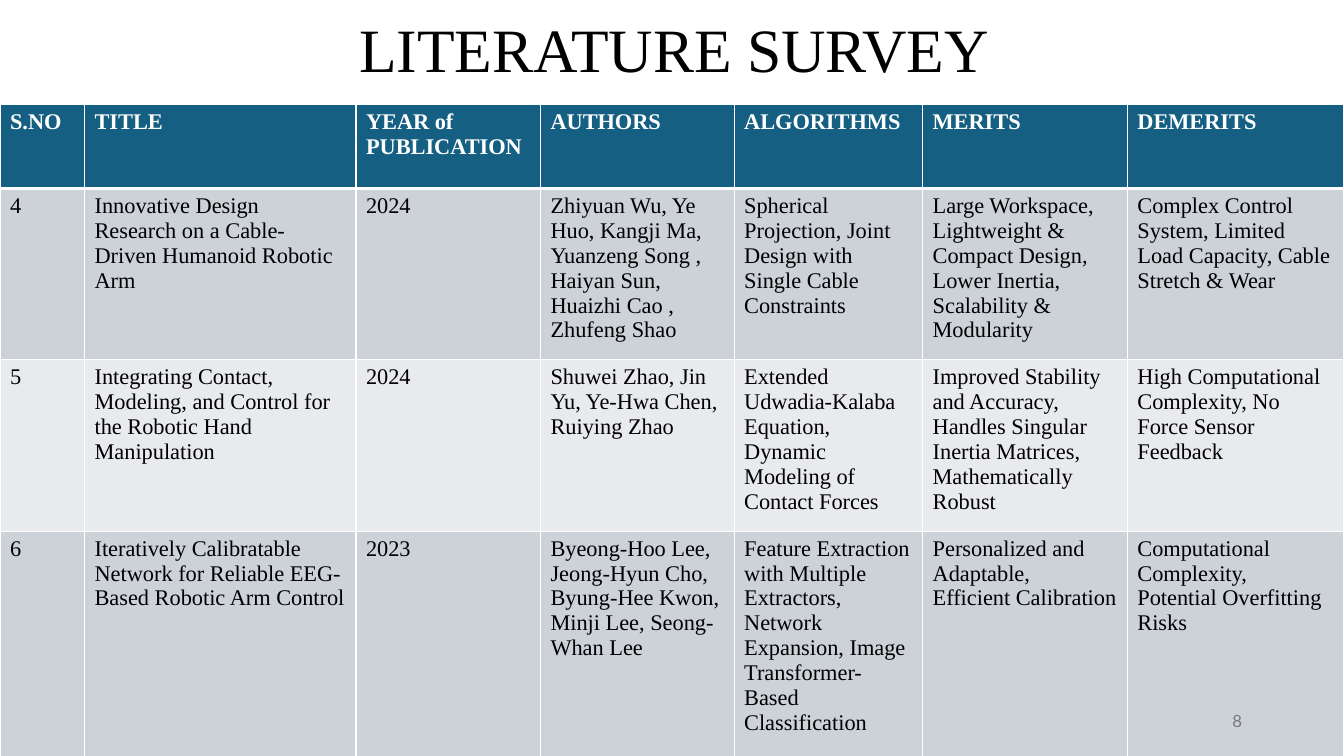
from lxml import etree
from pptx import Presentation
from pptx.dml.color import RGBColor
from pptx.enum.text import MSO_ANCHOR, PP_ALIGN
from pptx.oxml.ns import qn
from pptx.util import Cm, Pt

MIDDLE = MSO_ANCHOR.MIDDLE
CENTER, RIGHT = PP_ALIGN.CENTER, PP_ALIGN.RIGHT

# Content
TITLE = "LITERATURE SURVEY"
PAGE_NUMBER = "8"
HEADERS = ["S.NO", "TITLE", "YEAR of PUBLICATION", "AUTHORS", "ALGORITHMS", "MERITS", "DEMERITS"]
PAPERS = [
    ["4", "Innovative Design Research on a Cable-Driven Humanoid Robotic Arm", "2024",
     "Zhiyuan Wu, Ye Huo, Kangji Ma, Yuanzeng Song , Haiyan Sun, Huaizhi Cao , Zhufeng Shao",
     "Spherical Projection, Joint Design with Single Cable Constraints",
     "Large Workspace, Lightweight & Compact Design,\nLower Inertia, Scalability & Modularity",
     "Complex Control System, Limited Load Capacity, Cable Stretch & Wear"],
    ["5", "Integrating Contact, Modeling, and Control for the Robotic Hand Manipulation", "2024",
     "Shuwei Zhao, Jin Yu, Ye-Hwa Chen, Ruiying Zhao",
     "Extended Udwadia-Kalaba Equation, Dynamic Modeling of Contact Forces",
     "Improved Stability and Accuracy, Handles Singular Inertia Matrices, Mathematically Robust",
     "High Computational Complexity, No Force Sensor Feedback"],
    ["6", "Iteratively Calibratable Network for Reliable EEG-Based Robotic Arm Control", "2023",
     "Byeong-Hoo Lee, Jeong-Hyun Cho, Byung-Hee Kwon, Minji Lee, Seong-Whan Lee",
     "Feature Extraction with Multiple Extractors, Network Expansion, "
     "Image Transformer-Based Classification",
     "Personalized and Adaptable,\nEfficient Calibration",
     "Computational Complexity,\nPotential Overfitting Risks"],
]

# Theme and layout, lengths in cm
THEME = {
    "title": {"name": "Times New Roman", "size": Pt(44), "color": "000000"},
    "header": {"name": "Times New Roman", "size": Pt(16), "bold": True, "color": "FFFFFF"},
    "body": {"name": "Times New Roman", "size": Pt(16), "bold": False, "color": "000000"},
    "page": {"name": "Lato", "size": Pt(12), "color": "797979"},
    "header_fill": "156082",
    "band_fills": ["CCD2D8", "E8EAED"],
    "border": "FFFFFF",
    "thin": 1,
    "thick": 3,
}
SLIDE_W, SLIDE_H = 33.87, 19.05
TABLE_TOP = 2.64
COL_WIDTHS = [2.13, 6.84, 4.65, 4.88, 4.75, 5.16, 5.46]
ROW_HEIGHTS = [2.11, 4.27, 3.94, 5.23]


def format_text(tf, style):
    for p in tf.paragraphs:
        for r in p.runs:
            for key, value in style.items():
                if key == "color":
                    r.font.color.rgb = RGBColor.from_string(value)
                else:
                    setattr(r.font, key, value)


def add_text(s, box, text, style, align, spacing=1.0):
    tf = s.shapes.add_textbox(*(Cm(v) for v in box)).text_frame
    tf.word_wrap, tf.vertical_anchor, tf.text = True, MIDDLE, text
    p = tf.paragraphs[0]
    p.alignment, p.line_spacing = align, spacing
    format_text(tf, style)


def set_borders(cell, widths):
    tc_pr = cell._tc.get_or_add_tcPr()
    for side, width in widths.items():
        ln = etree.SubElement(tc_pr, qn(f"a:ln{side}"), w=str(Pt(width)))
        fill = etree.SubElement(ln, qn("a:solidFill"))
        etree.SubElement(fill, qn("a:srgbClr"), val=THEME["border"])


def add_survey(s):
    rows = [HEADERS] + PAPERS
    table = s.shapes.add_table(len(rows), len(HEADERS), 0, Cm(TABLE_TOP),
                               Cm(sum(COL_WIDTHS)), Cm(sum(ROW_HEIGHTS))).table
    for column, width in zip(table.columns, COL_WIDTHS):
        column.width = Cm(width)
    for i, (row, height, texts) in enumerate(zip(table.rows, ROW_HEIGHTS, rows)):
        row.height = Cm(height)
        fill = THEME["band_fills"][(i - 1) % 2] if i else THEME["header_fill"]
        thin, thick = THEME["thin"], THEME["thick"]
        borders = {"L": thin, "R": thin,
                   "T": thick if i == 1 else thin,
                   "B": thick if i == 0 else thin}
        for cell, text in zip(row.cells, texts):
            cell.text = text
            format_text(cell.text_frame, THEME["body" if i else "header"])
            set_borders(cell, borders)
            cell.fill.solid()
            cell.fill.fore_color.rgb = RGBColor.from_string(fill)


def main():
    prs = Presentation()
    prs.slide_width, prs.slide_height = Cm(SLIDE_W), Cm(SLIDE_H)
    s = prs.slides.add_slide(prs.slide_layouts[6])

    # Title, survey table, page number
    add_text(s, (2.39, -0.51, 29.21, 3.68), TITLE, THEME["title"], CENTER, 0.9)
    add_survey(s)
    add_text(s, (23.93, 17.65, 7.62, 1.02), PAGE_NUMBER, THEME["page"], RIGHT)
    prs.save("out.pptx")


if __name__ == "__main__":
    main()
